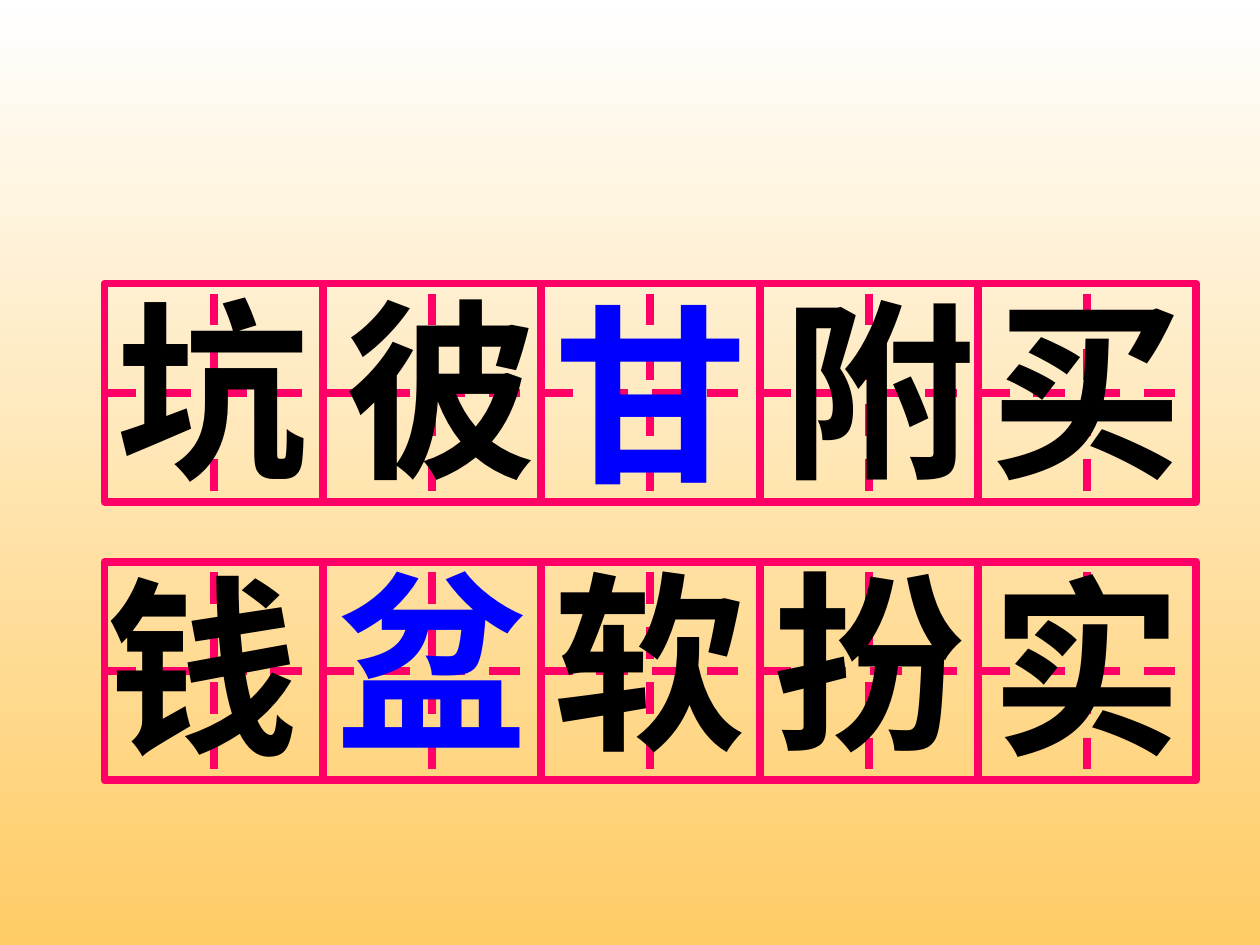
import pptx
import pptx.dml.color
import pptx.enum.dml
import pptx.enum.shapes
import pptx.enum.text
import pptx.util
from dataclasses import dataclass
from pptx.util import Inches


def color(code):
    return pptx.dml.color.RGBColor.from_string(code)


@dataclass(frozen=True)
class Theme:
    sky: str = "FFFFFF"
    sand: str = "FFCC66"
    grid: str = "FF0066"
    ink: str = "000000"
    highlight: str = "0000FF"
    font: str = "Times New Roman"
    character_size: float = 110
    grid_width: float = 4.5


THEME = Theme()
CELL = 1.733
GRID_LEFT = 0.83
ROW_TOPS = (2.25, 4.46)
GUIDE_DROP = 0.08
CHARACTER_HEIGHT = 1.94

# Each character with its colour and its offset from the cell's corner
ROWS = (
    (
        ("坑", THEME.ink, 0, -0.15),
        ("彼", THEME.ink, 0.08, -0.15),
        ("甘", THEME.highlight, 0.01, -0.12),
        ("附", THEME.ink, 0.08, -0.15),
        ("买", THEME.ink, 0, -0.15),
    ),
    (
        ("钱", THEME.ink, -0.08, -0.16),
        ("盆", THEME.highlight, 0, -0.2),
        ("软", THEME.ink, 0, -0.2),
        ("扮", THEME.ink, 0, -0.2),
        ("实", THEME.ink, 0, -0.16),
    ),
)


def paint_background(slide):
    fill = slide.background.fill
    fill.gradient()
    fill.gradient_angle = 270
    for stop, position, code in zip(fill.gradient_stops, (0, 1), (THEME.sky, THEME.sand)):
        stop.position = position
        stop.color.rgb = color(code)


def style_line(line):
    line.color.rgb = color(THEME.grid)
    line.width = pptx.util.Pt(THEME.grid_width)


def add_guide(slide, x1, y1, x2, y2):
    guide = slide.shapes.add_connector(
        pptx.enum.shapes.MSO_CONNECTOR.STRAIGHT,
        Inches(x1), Inches(y1), Inches(x2), Inches(y2))
    style_line(guide.line)
    guide.line.dash_style = pptx.enum.dml.MSO_LINE.DASH
    guide._element.spPr.append(pptx.oxml.parse_xml(
        '<a:effectLst xmlns:a="http://schemas.openxmlformats.org/drawingml/2006/main"/>'))
    return guide


def add_cell(slide, left, top):
    square = slide.shapes.add_shape(
        pptx.enum.shapes.MSO_SHAPE.RECTANGLE,
        Inches(left), Inches(top), Inches(CELL), Inches(CELL))
    square.shadow.inherit = False
    square.fill.background()
    style_line(square.line)

    middle_x, middle_y = left + CELL / 2, top + CELL / 2
    across = add_guide(slide, left, middle_y, left + CELL, middle_y)
    across.begin_connect(square, 1)
    across.end_connect(square, 3)
    guide_top = top + GUIDE_DROP
    add_guide(slide, middle_x, guide_top, middle_x, guide_top + CELL)


def add_character(slide, character, code, left, top):
    box = slide.shapes.add_textbox(
        Inches(left), Inches(top), Inches(CELL), Inches(CHARACTER_HEIGHT))
    frame = box.text_frame
    frame.word_wrap = False
    frame.auto_size = pptx.enum.text.MSO_AUTO_SIZE.SHAPE_TO_FIT_TEXT
    frame.text = character
    font = frame.paragraphs[0].runs[0].font
    font.name = THEME.font
    font.size = pptx.util.Pt(THEME.character_size)
    font.bold = True
    font.color.rgb = color(code)


def main():
    deck = pptx.Presentation()
    deck.slide_width, deck.slide_height = Inches(10), Inches(7.5)
    slide = deck.slides.add_slide(deck.slide_layouts[6])
    paint_background(slide)

    # Practice grid
    for top, row in zip(ROW_TOPS, ROWS):
        for column in range(len(row)):
            add_cell(slide, GRID_LEFT + column * CELL, top)

    # Characters over the grid
    for top, row in zip(ROW_TOPS, ROWS):
        for column, (character, code, dx, dy) in enumerate(row):
            add_character(slide, character, code,
                          GRID_LEFT + column * CELL + dx, top + dy)

    deck.save("out.pptx")


if __name__ == "__main__":
    main()
